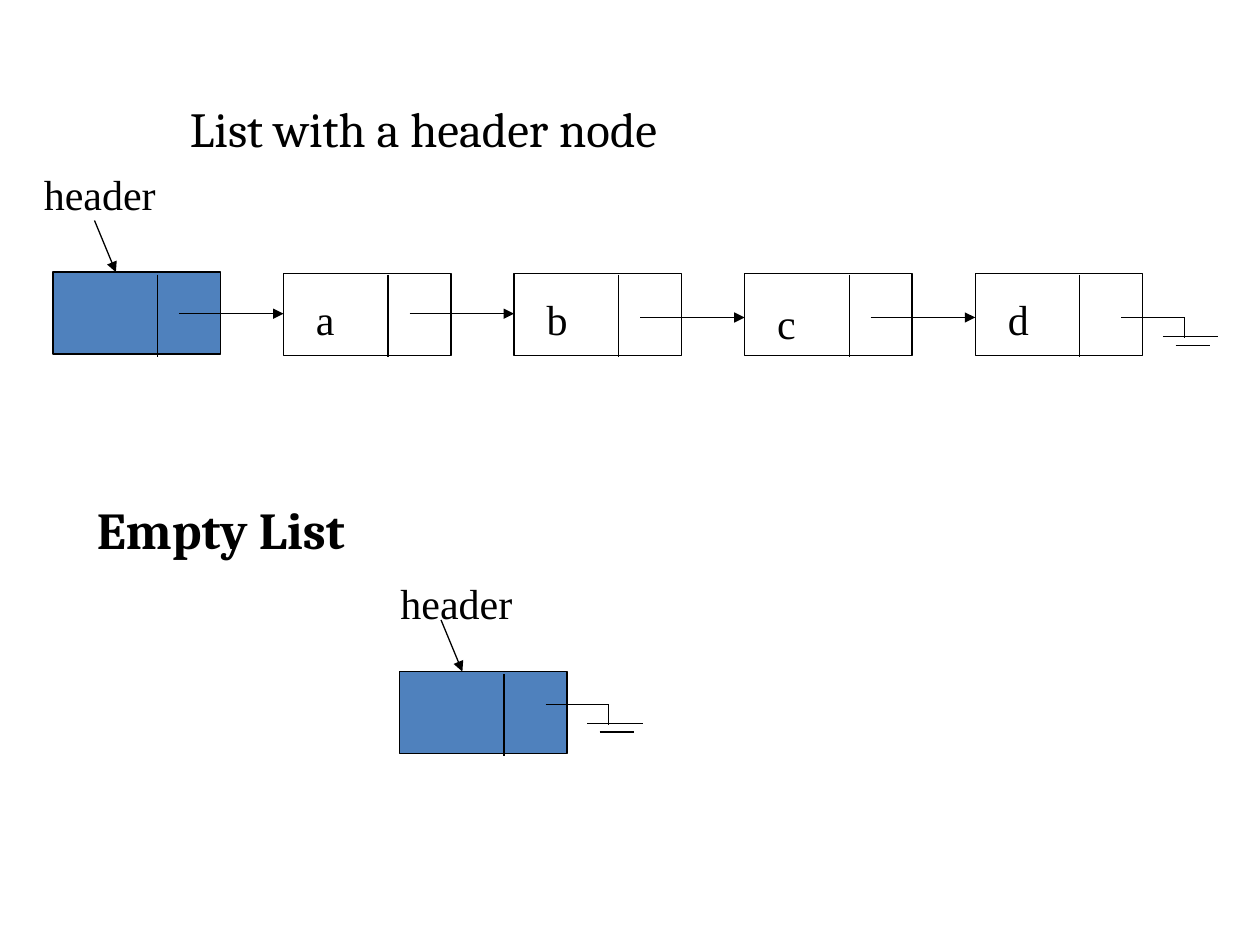
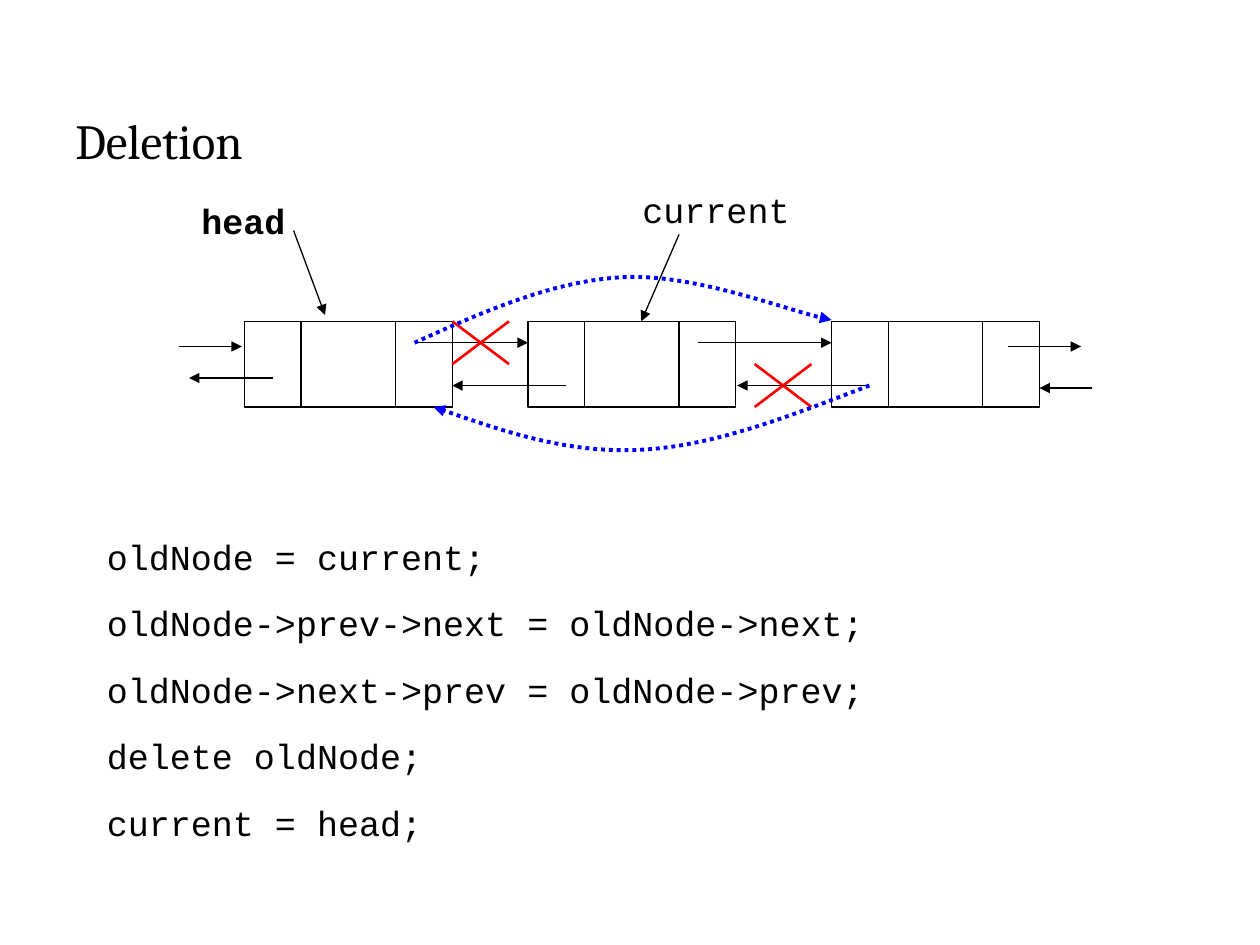
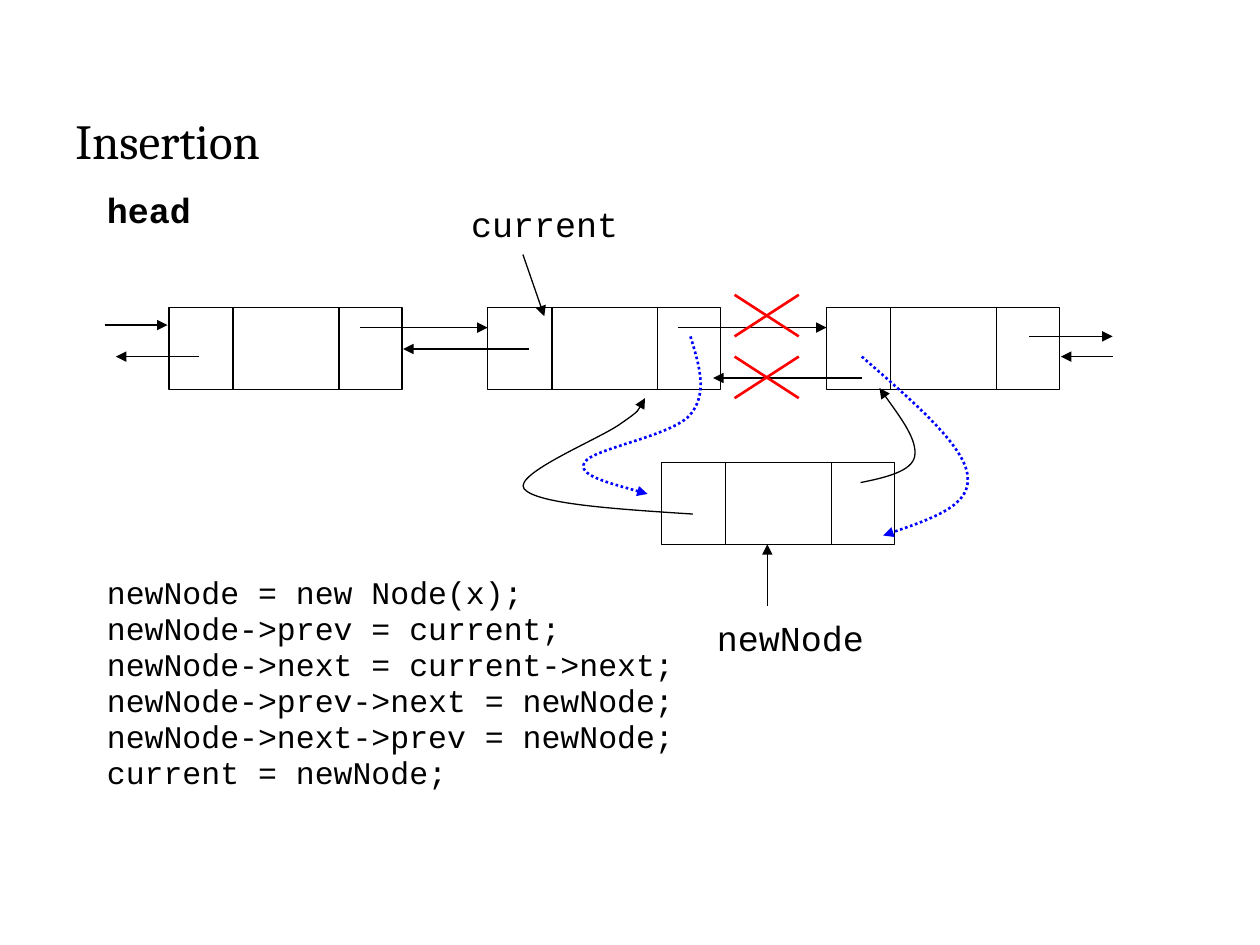
from pptx import Presentation
from pptx.dml.color import RGBColor
from pptx.enum import dml, shapes, text
from pptx.oxml import ns
from pptx.util import Inches, Pt
from lxml import etree

BLACK, WHITE, HEADER_BLUE = "000000", "FFFFFF", "4F81BD"
LINK_BLUE, CROSS_RED = "0000FF", "FF0000"
SERIF, CODE, LABEL = "Cambria", "Courier New", "Times New Roman"

# Singly linked list: (value, drop of the value, drop of the pointer)
LIST_NODES = [("", 0, 0.33), ("a", 0.09, 0.33), ("b", 0.09, 0.36),
              ("c", 0.12, 0.36), ("d", 0.09, 0.36)]
LIST_LEFT, LIST_TOP, LIST_STEP = 0.42, 2.16, 1.83
EMPTY_LEFT, EMPTY_TOP = 3.17, 5.33
SINGLE = dict(width=1.33, height=0.65, dividers=[0.83])
# Ground symbol, from the start of its wire
GROUND = [(0, 0, 0.5, 0), (0.5, 0, 0.5, 0.16),
          (0.33, 0.15, 0.77, 0.15), (0.43, 0.22, 0.7, 0.22)]

# Doubly linked lists. Labels: (words, left, top, bold).
# Arrows: x1, y1, x2, y2. Links: (colour, points), a start and then cubic curves.
DELETION = dict(
    title="Deletion",
    code=["oldNode = current;",
          "oldNode->prev->next = oldNode->next;",
          "oldNode->next->prev = oldNode->prev;",
          "delete oldNode;",
          "current = head;"],
    code_top=4, code_size=20, code_spacing=1.5, code_gap=2,
    node=dict(width=1.65, height=0.68, dividers=[0.45, 1.2]),
    places=[(1.94, 2.55), (4.19, 2.55), (6.6, 2.55)],
    labels=[("current", 5, 1.42, False), ("head", 1.5, 1.5, True)],
    arrows=[(5.39, 1.86, 5.09, 2.55), (2.33, 1.83, 2.58, 2.5),
            (3.29, 2.72, 4.19, 2.72), (4.49, 3.06, 3.59, 3.06),
            (5.54, 2.72, 6.6, 2.72), (6.9, 3.06, 5.85, 3.06),
            (1.42, 2.75, 1.92, 2.75), (2.17, 3, 1.5, 3),
            (8.67, 3.08, 8.25, 3.08), (8, 2.75, 8.58, 2.75)],
    cross_size=(0.45, 0.34), crosses=[(3.59, 2.55), (5.99, 2.89)],
    link_weight=2.25,
    links=[(LINK_BLUE, [(3.29, 2.72), (3.84, 2.47), (4.39, 2.23), (4.94, 2.2),
                        (5.49, 2.17), (6.32, 2.49), (6.6, 2.54)]),
           (LINK_BLUE, [(6.9, 3.06), (6.28, 3.3), (5.67, 3.54), (5.09, 3.57),
                        (4.52, 3.6), (3.98, 3.42), (3.44, 3.23)])])

INSERTION = dict(
    title="Insertion",
    code=["newNode = new Node(x);",
          "newNode->prev = current;",
          "newNode->next = current->next;",
          "newNode->prev->next = newNode;",
          "newNode->next->prev = newNode;",
          "current = newNode;"],
    code_top=4.5, code_size=18, code_spacing=0.9, code_gap=1.1,
    node=dict(width=1.85, height=0.65, dividers=[0.51, 1.35]),
    places=[(1.34, 2.44), (3.87, 2.44), (6.56, 2.44), (5.25, 3.67)],
    labels=[("head", 0.75, 1.42, True), ("current", 3.64, 1.53, False),
            ("newNode", 5.59, 4.81, False)],
    arrows=[(2.86, 2.6, 3.87, 2.6), (4.2, 2.77, 3.2, 2.77),
            (5.38, 2.6, 6.56, 2.6), (6.84, 3, 5.66, 3),
            (4.15, 2.02, 4.32, 2.51), (6.09, 4.81, 6.09, 4.32),
            (8.17, 2.67, 8.83, 2.67), (0.83, 2.58, 1.33, 2.58),
            (8.83, 2.83, 8.42, 2.83), (1.58, 2.83, 0.92, 2.83)],
    cross_size=(0.51, 0.33), crosses=[(5.83, 2.83), (5.83, 2.34)],
    link_weight=1.5,
    links=[(LINK_BLUE, [(5.48, 2.67), (5.55, 2.9), (5.62, 3.12), (5.48, 3.29),
                        (5.34, 3.46), (4.7, 3.56), (4.64, 3.67),
                        (4.58, 3.77), (4.86, 3.84), (5.14, 3.92)]),
           (BLACK, [(5.5, 4.08), (4.88, 4.04), (4.26, 4), (4.16, 3.88),
                    (4.07, 3.76), (4.77, 3.48), (4.93, 3.36),
                    (5.09, 3.25), (5.1, 3.2), (5.12, 3.16)]),
           (BLACK, [(6.83, 3.83), (7.03, 3.79), (7.24, 3.74), (7.26, 3.62),
                    (7.28, 3.49), (7.13, 3.29), (6.98, 3.08)]),
           (LINK_BLUE, [(6.84, 2.83), (7.25, 3.19), (7.66, 3.54), (7.68, 3.78),
                        (7.71, 4.01), (7.36, 4.13), (7.01, 4.25)])])


def rgb(code):
    """Turn a hex string into a colour."""
    return RGBColor.from_string(code)


def style_line(part, color=BLACK, weight=0.75, arrow=False, dotted=False):
    """Set colour, weight, dots and arrowhead of an outline."""
    part.line.color.rgb = rgb(color)
    part.line.width = Pt(weight)
    if dotted:
        part.line.dash_style = dml.MSO_LINE.ROUND_DOT
    if arrow:
        outline = part._element.spPr.get_or_add_ln()
        etree.SubElement(outline, ns.qn("a:tailEnd"), type="triangle")


def draw_line(slide, x1, y1, x2, y2, **look):
    """Draw a straight line or arrow without a shadow."""
    line = slide.shapes.add_connector(
        shapes.MSO_CONNECTOR.STRAIGHT, *map(Inches, (x1, y1, x2, y2)))
    style_line(line, **look)
    etree.SubElement(line._element.spPr, ns.qn("a:effectLst"))


def draw_curve(slide, points, **look):
    """Draw an open arrow of cubic curves through a start and point triples."""
    start, *rest = [(Inches(x), Inches(y)) for x, y in points]
    builder = slide.shapes.build_freeform(*start)
    builder.add_line_segments(rest, close=False)
    curve = builder.convert_to_shape()
    segments = list(curve._element.iter(ns.qn("a:lnTo")))
    for i in range(0, len(segments), 3):
        bezier = etree.Element(ns.qn("a:cubicBezTo"))
        segments[i].addprevious(bezier)
        for segment in segments[i:i + 3]:
            bezier.append(segment[0])
            segment.getparent().remove(segment)
    curve.fill.background()
    curve.shadow.inherit = False
    style_line(curve, arrow=True, **look)


def write(slide, lines, left, top, width, height, font, size, bold=False,
          spacing=None, gap=0, indent=None):
    """Write paragraphs of one style in a text box."""
    frame = slide.shapes.add_textbox(
        *map(Inches, (left, top, width, height))).text_frame
    frame.word_wrap = True
    frame.vertical_anchor = text.MSO_ANCHOR.TOP
    frame.margin_top = Inches(0.05 if font == SERIF else 0.08)
    frame.text = "\n".join(lines)
    for paragraph in frame.paragraphs:
        paragraph.font.name = font
        paragraph.font.size = Pt(size)
        paragraph.font.bold = bold
        paragraph.font.color.rgb = rgb(BLACK)
        paragraph.space_before = Pt(gap)
        if spacing:
            paragraph.line_spacing = spacing
        if indent:
            properties = paragraph._p.get_or_add_pPr()
            properties.set("marL", str(Inches(indent)))
            properties.set("indent", str(-Inches(indent)))


def write_title(slide, words, left=0.5, top=0.83):
    """Write the slide title."""
    write(slide, [words], left, top, 9, 1, SERIF, 28)


def draw_node(slide, left, top, width, height, dividers, fill=WHITE, lower=0):
    """Draw a node box and its cell dividers, set lower by a given length."""
    box = slide.shapes.add_shape(
        shapes.MSO_SHAPE.RECTANGLE, *map(Inches, (left, top, width, height)))
    box.shadow.inherit = False
    box.fill.solid()
    box.fill.fore_color.rgb = rgb(fill)
    style_line(box)
    for offset in dividers:
        x = left + offset
        draw_line(slide, x, top + lower, x, top + height + lower)


def draw_header(slide, left, top, label_left, label_top):
    """Draw a blue header node with its label and arrow."""
    draw_node(slide, left, top, **SINGLE, fill=HEADER_BLUE, lower=0.02)
    write(slide, ["header"], label_left, label_top, 1.33, 0.5, LABEL, 24)
    draw_line(slide, left + 0.33, top - 0.41, left + 0.5, top, arrow=True)


def draw_ground(slide, node_left, y):
    """Draw the ground symbol that ends a list."""
    x = node_left + 1.16
    for x1, y1, x2, y2 in GROUND:
        draw_line(slide, x + x1, y + y1, x + x2, y + y2)


def header_slide(slide):
    """Show a list with a header node, and an empty one."""
    write_title(slide, "List with a header node", 1.41, 0.73)
    write(slide, ["Empty List"], 0.67, 3.75, 3.5, 0.75, SERIF, 29.6,
          bold=True, spacing=1.3, indent=0.38)
    draw_header(slide, LIST_LEFT, LIST_TOP, 0.25, 1.26)
    lefts = [LIST_LEFT + LIST_STEP * i for i in range(len(LIST_NODES))]
    for left, (value, value_drop, _) in zip(lefts, LIST_NODES):
        if value:
            draw_node(slide, left, LIST_TOP + 0.01, **SINGLE, lower=0.01)
            write(slide, [value], left + 0.16, LIST_TOP + value_drop,
                  0.66, 0.49, LABEL, 24)
    for left, (_, _, drop) in zip(lefts[:-1], LIST_NODES):
        y = LIST_TOP + drop
        draw_line(slide, left + 1, y, left + LIST_STEP, y, arrow=True)
    draw_ground(slide, lefts[-1], LIST_TOP + LIST_NODES[-1][2])

    draw_header(slide, EMPTY_LEFT, EMPTY_TOP, 3.08, 4.5)
    draw_ground(slide, EMPTY_LEFT, EMPTY_TOP + 0.26)


def operation_slide(slide, step):
    """Show a step on a doubly linked list, with its code."""
    write_title(slide, step["title"])
    write(slide, step["code"], 0.75, step["code_top"], 8.5,
          6.67 - step["code_top"], CODE, step["code_size"],
          spacing=step["code_spacing"], gap=step["code_gap"], indent=0.38)
    for left, top in step["places"]:
        draw_node(slide, left, top, **step["node"])
    for words, left, top, bold in step["labels"]:
        write(slide, [words], left, top, 1.55, 0.5, CODE, 20, bold=bold)
    for ends in step["arrows"]:
        draw_line(slide, *ends, arrow=True)
    width, height = step["cross_size"]
    for x, y in step["crosses"]:
        for y1, y2 in [(y, y + height), (y + height, y)]:
            draw_line(slide, x, y1, x + width, y2, color=CROSS_RED, weight=1.5)
    for color, points in step["links"]:
        dotted = color == LINK_BLUE
        draw_curve(slide, points, color=color, dotted=dotted,
                   weight=step["link_weight"] if dotted else 0.75)


deck = Presentation()
deck.slide_width, deck.slide_height = Inches(10), Inches(7.5)
blank = deck.slide_layouts[6]
header_slide(deck.slides.add_slide(blank))
for operation in (DELETION, INSERTION):
    operation_slide(deck.slides.add_slide(blank), operation)
deck.save("out.pptx")
